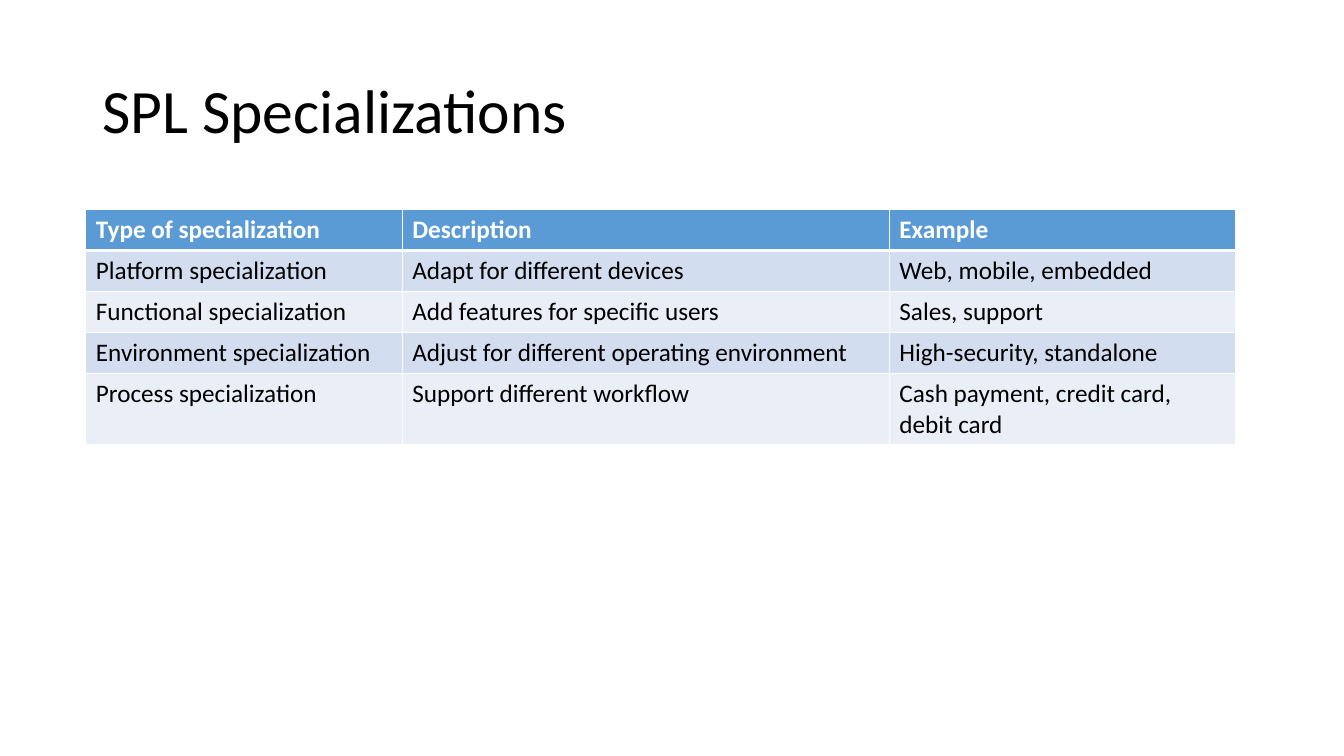
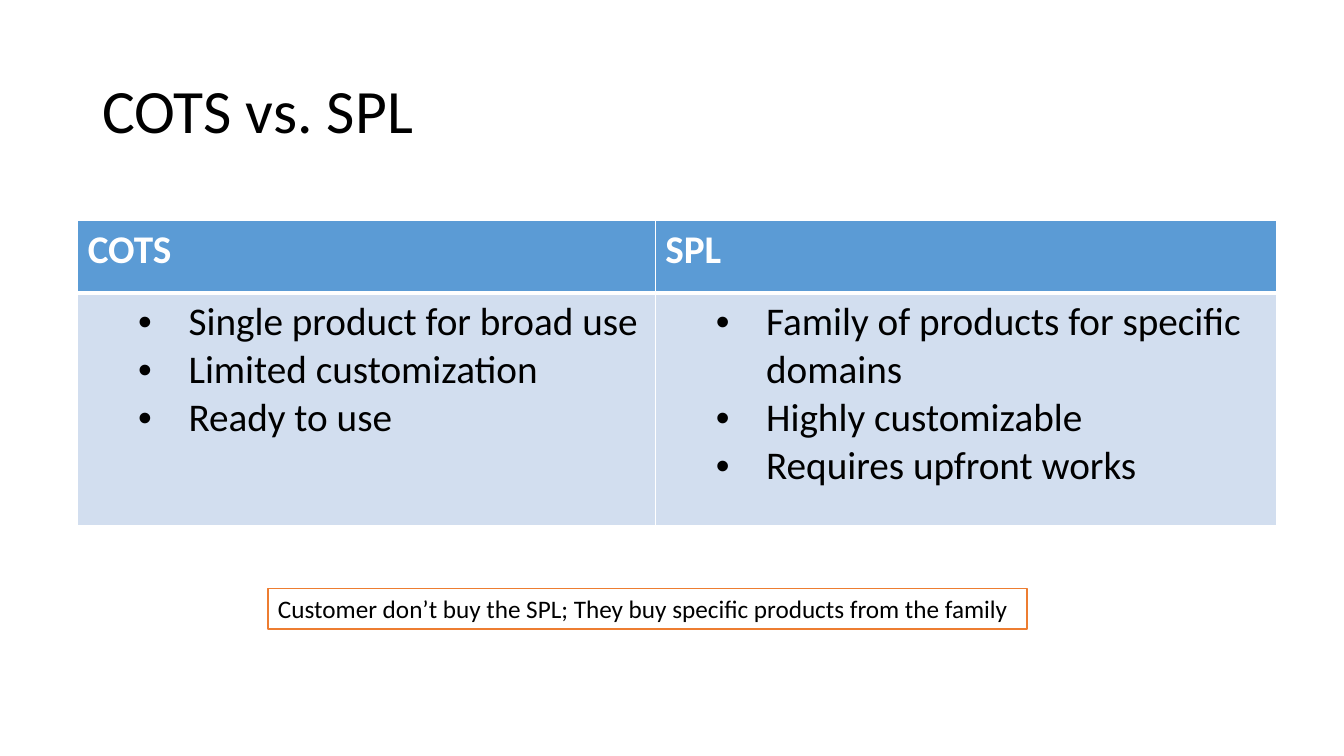
from lxml.etree import SubElement
from pptx import Presentation
from pptx.dml.color import RGBColor
from pptx.enum.shapes import MSO_SHAPE as SHAPE
from pptx.enum.text import MSO_ANCHOR as ANCHOR, MSO_AUTO_SIZE as AUTO_SIZE, PP_ALIGN as ALIGN
from pptx.oxml.ns import qn
from pptx.util import Pt

FONT = "Calibri"
BLACK, WHITE = "000000", "FFFFFF"
HEADER, ORANGE = "5B9BD5", "ED7D31"
BANDS = ("D2DEEF", "EAEFF7")
TITLE_ONLY = 5

SPECIALIZATIONS = [
    ["Type of specialization", "Description", "Example"],
    ["Platform specialization", "Adapt for different devices", "Web, mobile, embedded"],
    ["Functional specialization", "Add features for specific users", "Sales, support"],
    ["Environment specialization", "Adjust for different operating environment",
     "High-security, standalone"],
    ["Process specialization", "Support different workflow",
     "Cash payment, credit card, debit card"],
]
COMPARISON = [
    ["COTS", "SPL"],
    ["Single product for broad use\nLimited customization\nReady to use",
     "Family of products for specific domains\nHighly customizable\nRequires upfront works"],
]


def rgb(color):
    return RGBColor.from_string(color)


def style_text(tf, size, color, bold=False):
    for p in tf.paragraphs:
        p.alignment = ALIGN.LEFT
        for r in p.runs:
            r.font.name = FONT
            r.font.size = Pt(size)
            r.font.bold = bold
            r.font.color.rgb = rgb(color)


def add_titled_slide(prs, title):
    slide = prs.slides.add_slide(prs.slide_layouts[TITLE_ONLY])
    sp = slide.shapes.title
    sp.left, sp.top, sp.width, sp.height = Pt(66), Pt(28.75), Pt(828), Pt(104.4)
    tf = sp.text_frame
    tf.text = title
    tf.word_wrap = True
    tf.auto_size = AUTO_SIZE.NONE
    tf.vertical_anchor = ANCHOR.MIDDLE
    tf.paragraphs[0].line_spacing = 0.9
    style_text(tf, 44, BLACK)
    return slide


def set_borders(cell, top, bottom):
    tc_pr = cell._tc.get_or_add_tcPr()
    for side, width in (("L", 1), ("R", 1), ("T", top), ("B", bottom)):
        ln = SubElement(tc_pr, qn(f"a:ln{side}"), w=str(Pt(width)))
        fill = SubElement(ln, qn("a:solidFill"))
        SubElement(fill, qn("a:srgbClr"), val=WHITE)


def set_bullet(p):
    p.level = 1
    p_pr = p._p.get_or_add_pPr()
    p_pr.set("marL", str(Pt(72)))
    p_pr.set("indent", str(Pt(-36)))
    SubElement(p_pr, qn("a:buFont"), typeface="Arial")
    SubElement(p_pr, qn("a:buChar"), char="•")


def add_banded_table(slide, left, top, widths, heights, rows, size, bulleted=False):
    frame = slide.shapes.add_table(len(rows), len(widths), Pt(left), Pt(top),
                                   Pt(sum(widths)), Pt(sum(heights)))
    table = frame.table
    for column, width in zip(table.columns, widths):
        column.width = Pt(width)
    for i, (height, texts) in enumerate(zip(heights, rows)):
        table.rows[i].height = Pt(height)
        is_header = i == 0
        for j, text in enumerate(texts):
            cell = table.cell(i, j)
            cell.text_frame.text = text
            set_borders(cell, 3 if i == 1 else 1, 3 if is_header else 1)
            cell.fill.solid()
            cell.fill.fore_color.rgb = rgb(HEADER if is_header else BANDS[(i - 1) % 2])
            if bulleted and not is_header:
                for p in cell.text_frame.paragraphs:
                    set_bullet(p)
            style_text(cell.text_frame, size, WHITE if is_header else BLACK, is_header)


def add_note_box(slide, left, top, width, height, text):
    sp = slide.shapes.add_shape(SHAPE.RECTANGLE, Pt(left), Pt(top), Pt(width), Pt(height))
    sp.shadow.inherit = False
    sp.fill.solid()
    sp.fill.fore_color.rgb = rgb(WHITE)
    sp.line.color.rgb = rgb(ORANGE)
    sp.line.width = Pt(1)
    tf = sp.text_frame
    tf.text = text
    tf.word_wrap = True
    tf.vertical_anchor = ANCHOR.MIDDLE
    style_text(tf, 18, BLACK)


def main():
    prs = Presentation()
    prs.slide_width, prs.slide_height = Pt(960), Pt(540)

    slide = add_titled_slide(prs, "SPL Specializations")
    add_banded_table(slide, 61.3, 149.8, [226, 348, 247.6], [29.2] * 4 + [50.4],
                     SPECIALIZATIONS, 18)

    slide = add_titled_slide(prs, "COTS vs. SPL")
    add_banded_table(slide, 55.5, 157.7, [412.6, 443.6], [51.8, 165.6],
                     COMPARISON, 28, bulleted=True)
    add_note_box(slide, 191.5, 420.3, 542.2, 29,
                 "Customer don’t buy the SPL; They buy specific products from the family")

    prs.save("out.pptx")


if __name__ == "__main__":
    main()
